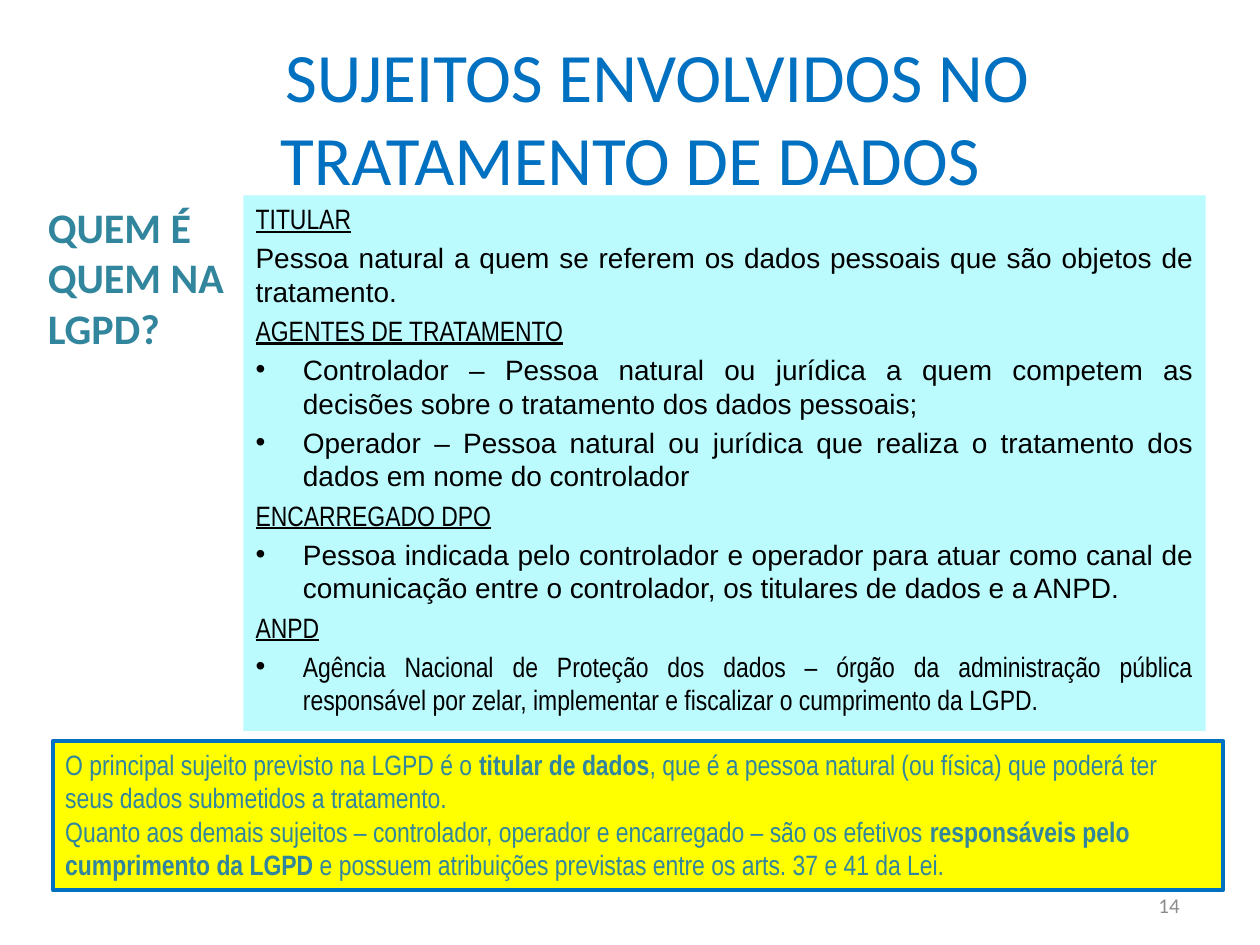
"""Build the slide on the subjects involved in data processing under the LGPD."""
import pptx
import pptx.dml.color
import pptx.enum.shapes
import pptx.enum.text
import pptx.util
from lxml import etree

Pt = pptx.util.Pt
RGBColor = pptx.dml.color.RGBColor
Align = pptx.enum.text.PP_ALIGN
Anchor = pptx.enum.text.MSO_ANCHOR

BLUE = RGBColor(0x00, 0x70, 0xC0)
TEAL = RGBColor(0x31, 0x85, 0x9C)
CYAN = RGBColor(0xBB, 0xFA, 0xFD)
YELLOW = RGBColor(0xFF, 0xFF, 0x00)
BLACK = RGBColor(0x00, 0x00, 0x00)
GRAY = RGBColor(0x8C, 0x8C, 0x8C)

NARROW = "Arial Narrow"
DRAWING = "{http://schemas.openxmlformats.org/drawingml/2006/main}"

DEFINITIONS = [
    ("heading", "TITULAR", NARROW),
    ("plain", "Pessoa natural a quem se referem os dados pessoais que são objetos de tratamento.", "Arial"),
    ("heading", "AGENTES DE TRATAMENTO", NARROW),
    ("bullet", "Controlador – Pessoa natural ou jurídica a quem competem as decisões sobre o "
               "tratamento dos dados pessoais;", "Arial"),
    ("bullet", "Operador – Pessoa natural ou jurídica que realiza o tratamento dos dados em nome "
               "do controlador", "Arial"),
    ("heading", "ENCARREGADO DPO", NARROW),
    ("bullet", "Pessoa indicada pelo controlador e operador para atuar como canal de comunicação "
               "entre o controlador, os titulares de dados e a ANPD.", "Arial"),
    ("heading", "ANPD", NARROW),
    ("bullet", "Agência Nacional de Proteção dos dados – órgão da administração pública "
               "responsável por zelar, implementar e fiscalizar o cumprimento da LGPD.", NARROW),
]

SUMMARY = [
    [("O principal sujeito previsto na LGPD é o ", False),
     ("titular de dados", True),
     (", que é a pessoa natural (ou física) que poderá ter seus dados submetidos a tratamento.", False)],
    [("Quanto aos demais sujeitos – controlador, operador e encarregado – são os efetivos ", False),
     ("responsáveis pelo cumprimento da LGPD", True),
     (" e possuem atribuições previstas entre os arts. 37 e 41 da Lei.", False)],
]


class SlideBuilder:
    """Hold the style and the current slide, with a method for each kind of element."""

    def __init__(self, presentation):
        self.text_size = 16
        self.bullet_indent = 27
        self.slide = presentation.slides.add_slide(presentation.slide_layouts[5])

    def style(self, paragraph, size, name, color, align=Align.LEFT):
        """Set the font and alignment of a paragraph."""
        paragraph.alignment = align
        paragraph.font.size = Pt(size)
        paragraph.font.name = name
        paragraph.font.color.rgb = color

    def indent(self, paragraph, margin, first_line):
        """Set the left margin and first-line indent of a paragraph."""
        properties = paragraph._p.get_or_add_pPr()
        properties.set("marL", str(Pt(margin)))
        properties.set("indent", str(Pt(first_line)))
        return properties

    def title(self, text, left, top, width, height, first_line):
        """Place and format the title placeholder."""
        shape = self.slide.shapes.title
        shape.left, shape.top, shape.width, shape.height = map(Pt, (left, top, width, height))
        frame = shape.text_frame
        frame.text = text
        frame.auto_size = pptx.enum.text.MSO_AUTO_SIZE.NONE
        frame.vertical_anchor = Anchor.MIDDLE
        self.style(frame.paragraphs[0], 39.6, "Calibri", BLUE, Align.CENTER)
        self.indent(frame.paragraphs[0], 0, first_line)

    def panel(self, left, top, width, height, fill, line=None):
        """Add a filled rectangle and return its text frame."""
        shape = self.slide.shapes.add_shape(
            pptx.enum.shapes.MSO_SHAPE.RECTANGLE, *map(Pt, (left, top, width, height)))
        shape.shadow.inherit = False
        shape.fill.solid()
        shape.fill.fore_color.rgb = fill
        if line is None:
            shape.line.fill.background()
        else:
            shape.line.color.rgb = line
            shape.line.width = Pt(2.25)
        shape.text_frame.word_wrap = True
        shape.text_frame.vertical_anchor = Anchor.TOP
        return shape.text_frame

    def paragraphs(self, frame, items):
        """Yield one paragraph of the frame with each item."""
        for index, item in enumerate(items):
            yield (frame.add_paragraph() if index else frame.paragraphs[0]), item

    def definitions(self, frame, entries):
        """Write underlined headings, plain text and bullets."""
        for paragraph, (kind, text, name) in self.paragraphs(frame, entries):
            paragraph.text = text
            self.style(paragraph, self.text_size, name, BLACK, Align.JUSTIFY)
            paragraph.space_before = Pt(0.2 * self.text_size)
            paragraph.font.underline = kind == "heading"
            if kind == "bullet":
                properties = self.indent(paragraph, self.bullet_indent, -self.bullet_indent)
                defaults = properties.find(DRAWING + "defRPr")
                defaults.addprevious(etree.Element(DRAWING + "buFont", typeface="Arial"))
                defaults.addprevious(etree.Element(DRAWING + "buChar", char="•"))

    def summary(self, frame, entries):
        """Write paragraphs that mix regular and bold runs."""
        for paragraph, runs in self.paragraphs(frame, entries):
            self.style(paragraph, self.text_size, NARROW, TEAL)
            for text, bold in runs:
                run = paragraph.add_run()
                run.text = text
                run.font.bold = bold

    def label(self, text, left, top, width, height, size, color,
              bold=False, align=Align.LEFT, anchor=Anchor.TOP):
        """Add a text box with one paragraph."""
        frame = self.slide.shapes.add_textbox(*map(Pt, (left, top, width, height))).text_frame
        frame.word_wrap = True
        frame.vertical_anchor = anchor
        paragraph = frame.paragraphs[0]
        paragraph.text = text
        self.style(paragraph, size, "Calibri", color, align)
        paragraph.font.bold = bold


def main():
    """Build and save the presentation."""
    presentation = pptx.Presentation()
    presentation.slide_width, presentation.slide_height = Pt(720), Pt(540)
    builder = SlideBuilder(presentation)
    builder.title("SUJEITOS ENVOLVIDOS NO TRATAMENTO DE DADOS", 36, 21.6, 648, 89.3, 31)
    builder.definitions(builder.panel(139, 111.6, 550, 306, CYAN), DEFINITIONS)
    builder.label("14", 513.4, 502.6, 167.8, 28.8, 12, GRAY, align=Align.RIGHT, anchor=Anchor.MIDDLE)
    builder.summary(builder.panel(30.2, 423.4, 668.9, 85, YELLOW, BLUE), SUMMARY)
    builder.label("QUEM É QUEM NA LGPD?", 20.2, 111.6, 118.8, 94.3, 24, TEAL, bold=True)
    presentation.save("out.pptx")


if __name__ == "__main__":
    main()
